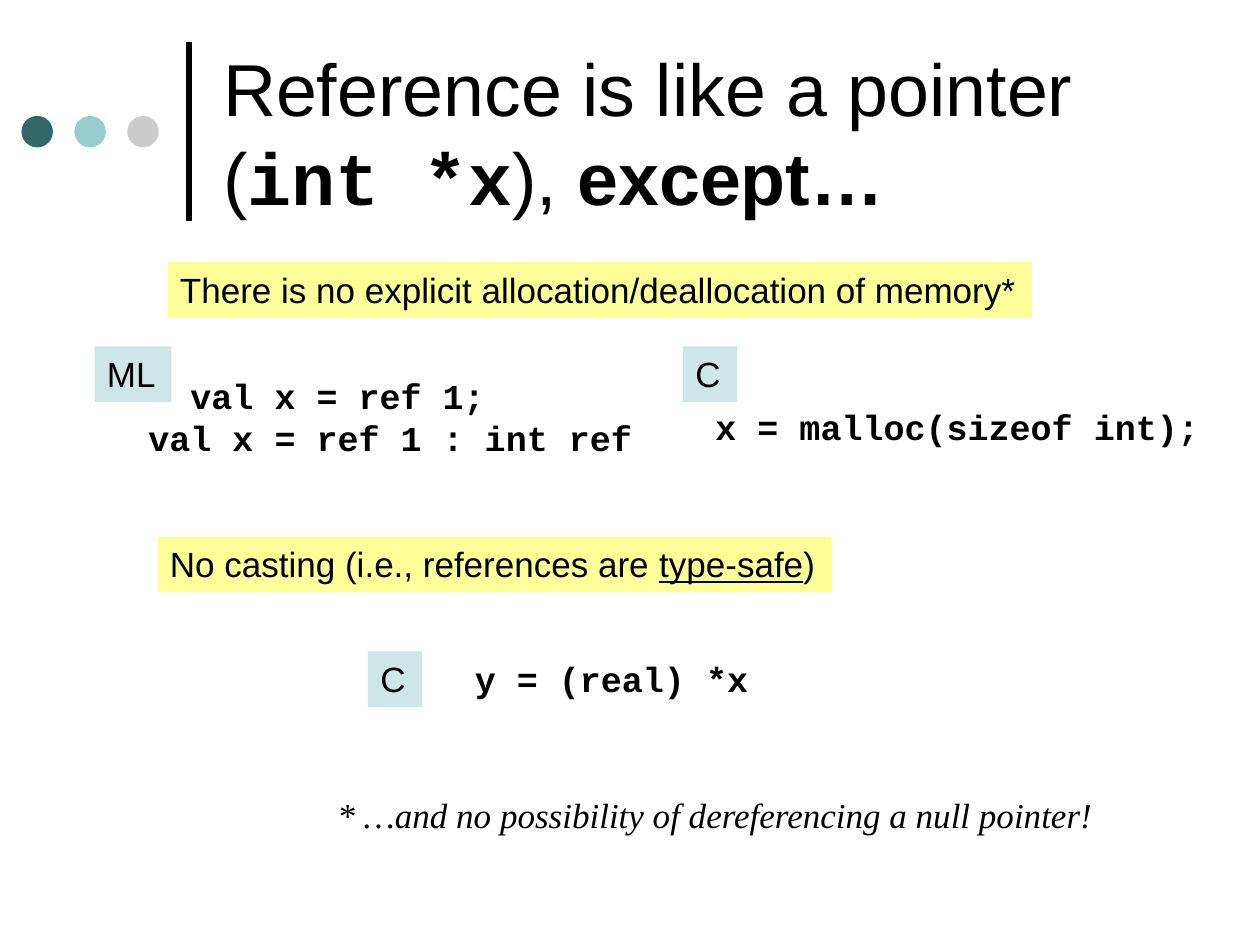
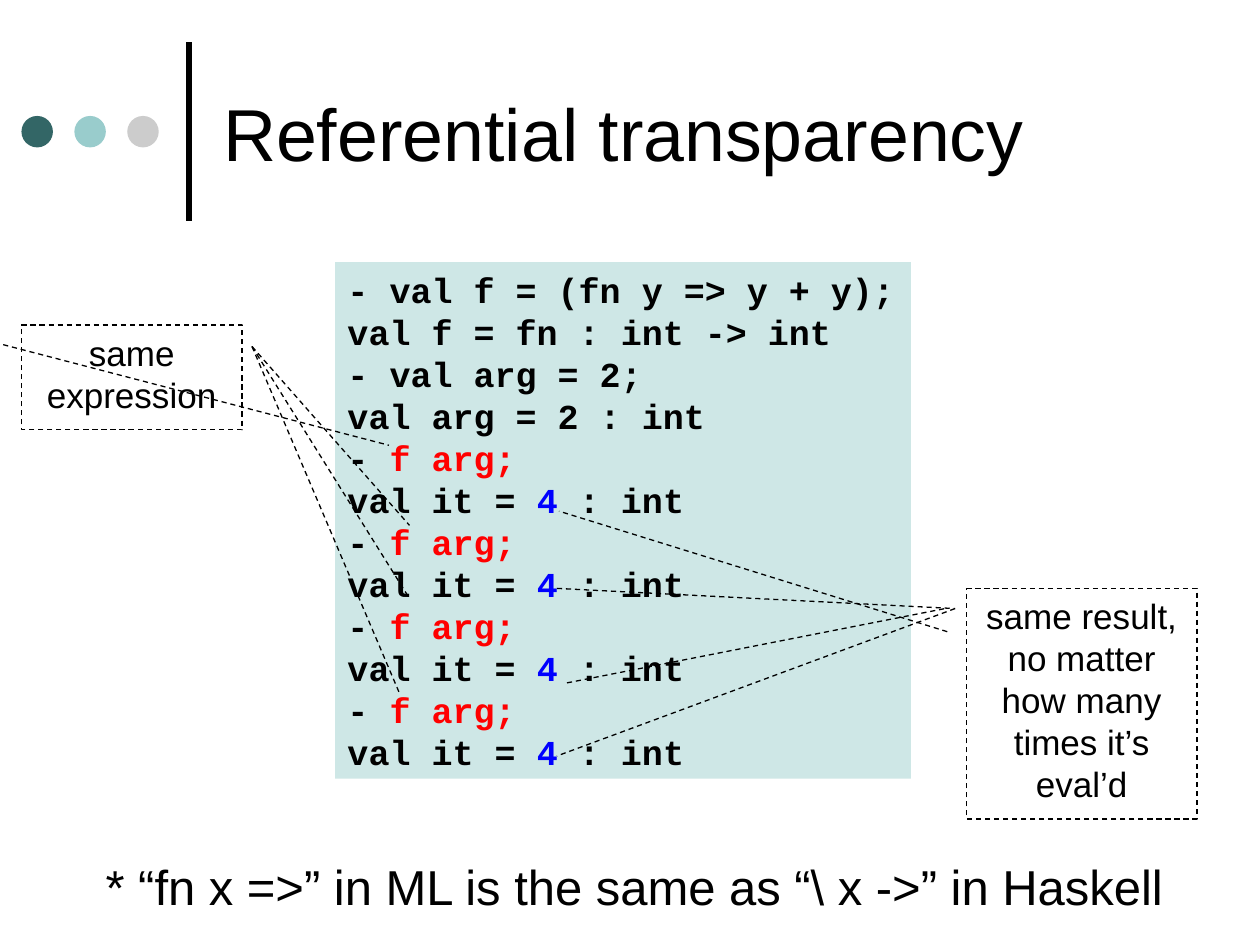
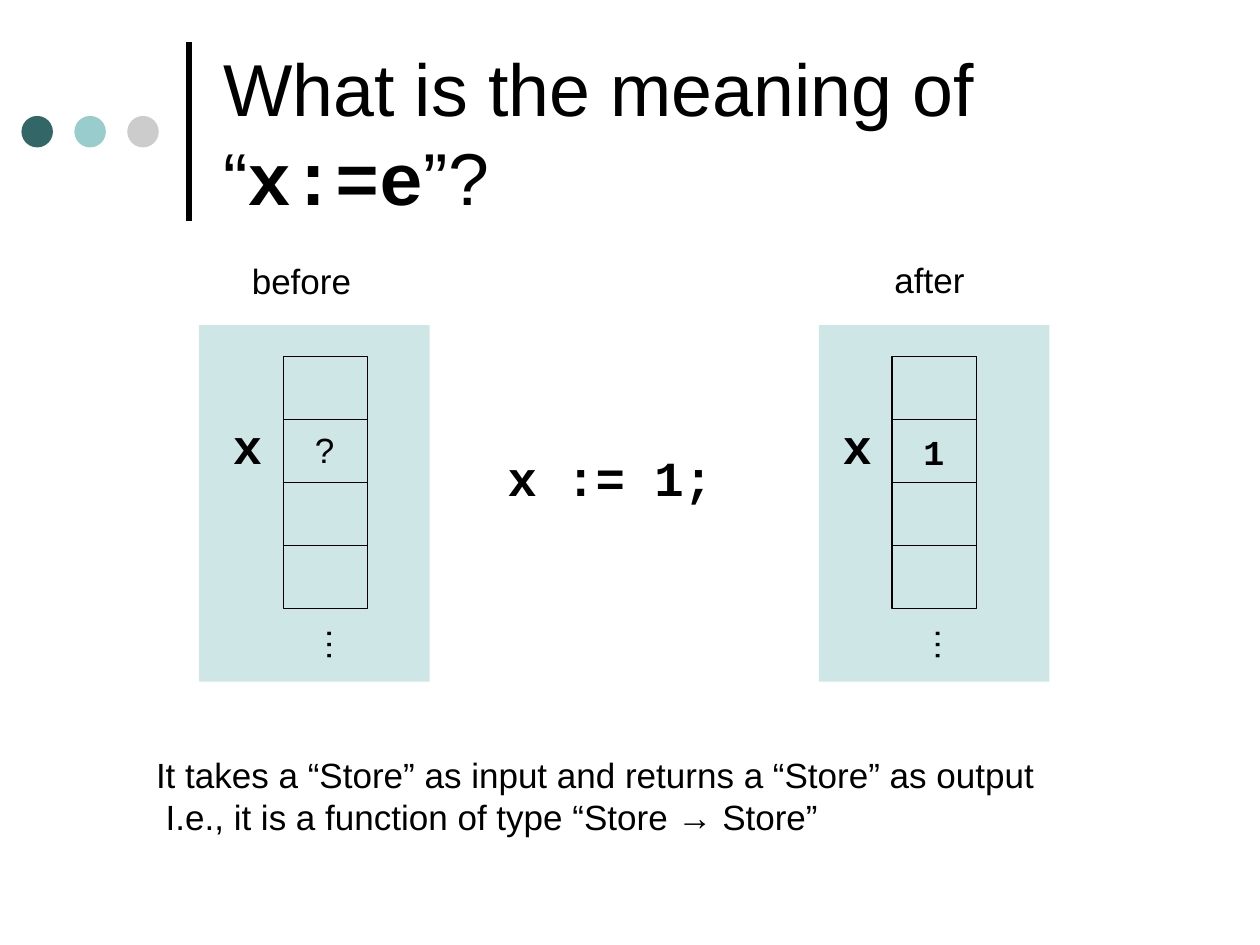
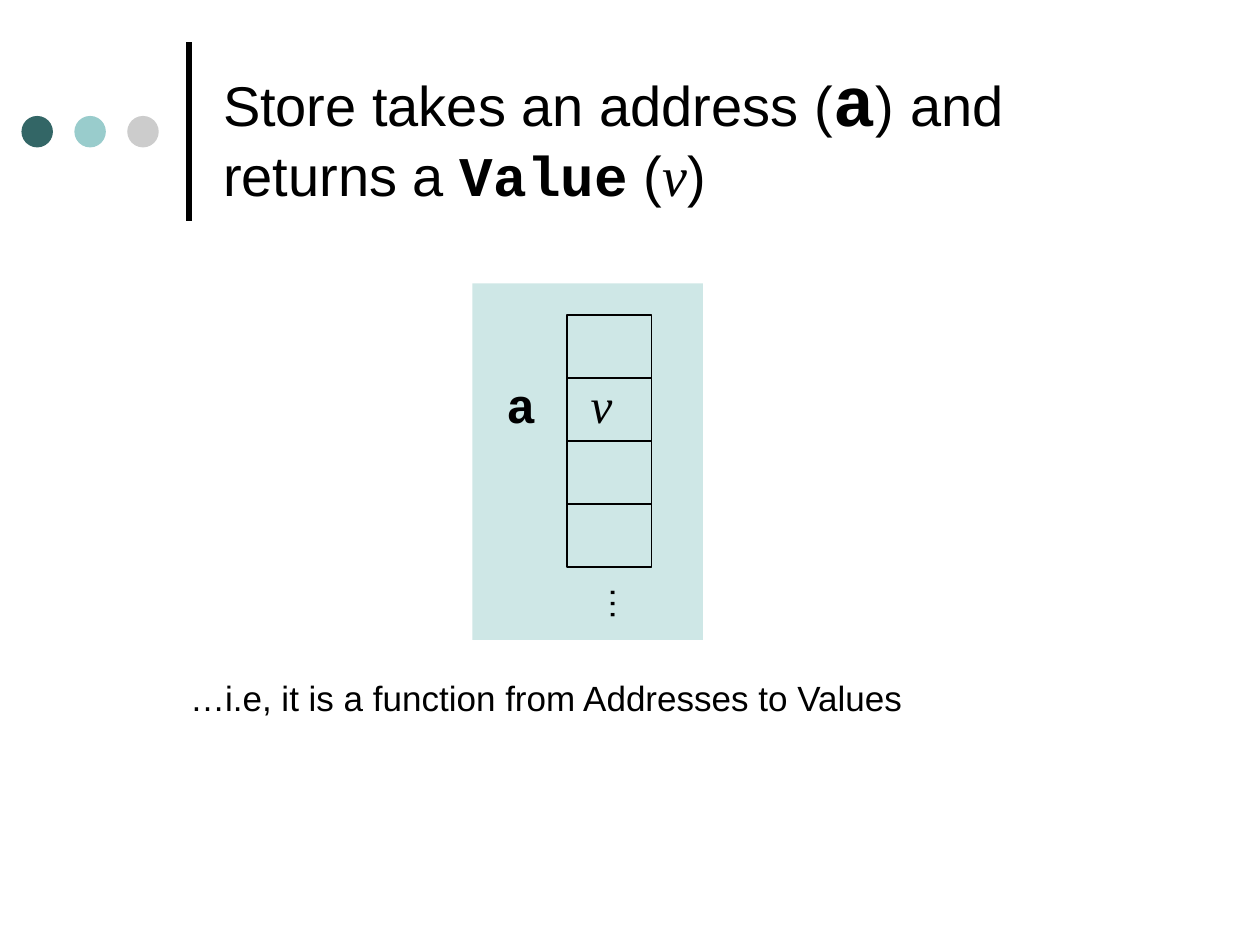
from lxml import etree
from pptx import Presentation
from pptx.dml.color import RGBColor
from pptx.enum import dml, shapes, text
from pptx.oxml import ns
from pptx.util import Inches, Pt

BLACK = RGBColor(0x00, 0x00, 0x00)
WHITE = RGBColor(0xFF, 0xFF, 0xFF)
RED = RGBColor(0xFF, 0x00, 0x00)
BLUE = RGBColor(0x00, 0x00, 0xFF)
YELLOW = RGBColor(0xFF, 0xFF, 0x99)
MINT = RGBColor(0xCE, 0xE7, 0xE6)
DOT_COLOURS = (
    RGBColor(0x33, 0x66, 0x66),
    RGBColor(0x99, 0xCC, 0xCC),
    RGBColor(0xCC, 0xCC, 0xCC),
)
SANS = "Arial"
MONO = "Courier New"
SERIF = "Times New Roman"
CODE = {"name": MONO, "bold": True}
FORMULA = {"name": SERIF, "italic": True}
WIDTH_SLACK = 0.03


def inches(*lengths):
    return [Inches(length) for length in lengths]


def format_font(font, name=None, size=None, colour=None, bold=None, italic=None, underline=None):
    if name:
        font.name = name
    if size:
        font.size = Pt(size)
    if colour is not None:
        font.color.rgb = colour
    if bold is not None:
        font.bold = bold
    if italic is not None:
        font.italic = italic
    if underline is not None:
        font.underline = underline


def write(frame, lines, align=text.PP_ALIGN.LEFT, **style):
    base = {"name": SANS, "size": 20, "colour": BLACK, **style}
    for index, line in enumerate(lines):
        paragraph = frame.add_paragraph() if index else frame.paragraphs[0]
        paragraph.alignment = align
        format_font(paragraph.font, **base)
        for part in [line] if isinstance(line, str) else line:
            words, changes = (part, {}) if isinstance(part, str) else part
            run = paragraph.add_run()
            run.text = words
            format_font(run.font, **changes)


def add_text(parent, box, *lines, fill=None, **style):
    left, top, width, height = box
    shape = parent.shapes.add_textbox(*inches(left, top, width + WIDTH_SLACK, height))
    if fill is not None:
        shape.fill.solid()
        shape.fill.fore_color.rgb = fill
    shape.text_frame.word_wrap = False
    shape.text_frame.auto_size = text.MSO_AUTO_SIZE.SHAPE_TO_FIT_TEXT
    write(shape.text_frame, lines, **style)
    return shape


def add_shape(parent, kind, box, fill=None, outlined=False):
    shape = parent.shapes.add_shape(kind, *inches(*box))
    shape.shadow.inherit = False
    if fill is None:
        shape.fill.background()
    else:
        shape.fill.solid()
        shape.fill.fore_color.rgb = fill
    if outlined:
        shape.line.color.rgb = BLACK
        shape.line.width = Pt(0.75)
    else:
        shape.line.fill.background()
    return shape


def add_line(slide, start, end, width=0.75, dashed=True):
    line = slide.shapes.add_connector(shapes.MSO_CONNECTOR.STRAIGHT, *inches(*start, *end))
    line.line.color.rgb = BLACK
    line.line.width = Pt(width)
    if dashed:
        line.line.dash_style = dml.MSO_LINE.DASH
    etree.SubElement(line.element.spPr, ns.qn("a:effectLst"))
    return line


def add_callout(slide, box, adjustments, *lines):
    callout = add_shape(slide, shapes.MSO_SHAPE.LINE_CALLOUT_1, box, outlined=True)
    callout.line.dash_style = dml.MSO_LINE.DASH
    for index, value in enumerate(adjustments):
        callout.adjustments[index] = value
    callout.text_frame.word_wrap = True
    callout.text_frame.vertical_anchor = text.MSO_ANCHOR.TOP
    write(callout.text_frame, lines, align=text.PP_ALIGN.CENTER)


def add_store(slide, panel_left, panel_top, cells_left, label, label_left):
    add_shape(slide, shapes.MSO_SHAPE.RECTANGLE, (panel_left, panel_top, 1.83, 2.83), MINT)
    cells = slide.shapes.add_group_shape()
    for row in range(4):
        cell = (cells_left, panel_top + 0.25 + 0.5 * row, 0.67, 0.5)
        add_shape(cells, shapes.MSO_SHAPE.RECTANGLE, cell, outlined=True)
    more = add_text(cells, (cells_left + 0.2, panel_top + 2.34, 0.48, 0.44), "…")
    more.rotation = 90
    add_text(slide, (label_left, panel_top + 0.67, 0.43, 0.57), label, size=28, **CODE)


def add_slide(presentation, *title_runs, size=42):
    slide = presentation.slides.add_slide(presentation.slide_layouts[5])
    title = slide.shapes.title
    title.left, title.top, title.width, title.height = inches(1.67, 0.21, 7.67, 1.67)
    frame = title.text_frame
    frame.word_wrap = True
    frame.auto_size = text.MSO_AUTO_SIZE.NONE
    frame.vertical_anchor = text.MSO_ANCHOR.MIDDLE
    write(frame, [title_runs], size=size)
    return slide


def decorate_master(presentation, slide):
    decorations = [add_line(slide, (1.5, 1.75), (1.5, 0.33), width=3, dashed=False)]
    for index, colour in enumerate(DOT_COLOURS):
        dot = (0.17 + 0.42 * index, 0.92, 0.25, 0.25)
        decorations.append(add_shape(slide, shapes.MSO_SHAPE.OVAL, dot, colour))
    for decoration in decorations:
        presentation.slide_master.shapes.element.append(decoration.element)


def build_pointer_slide(presentation):
    slide = add_slide(presentation, "Reference is like a pointer (", ("int *x", CODE),
                      "), ", ("except…", {"bold": True}))
    decorate_master(presentation, slide)
    add_text(slide, (1.08, 2.92, 4.04, 0.77), "- val x = ref 1;", "val x = ref 1 : int ref", **CODE)
    add_text(slide, (1.33, 2.08, 6.83, 0.44),
             "There is no explicit allocation/deallocation of memory*", fill=YELLOW)
    add_text(slide, (3.67, 5.17, 2.37, 0.44), "y = (real) *x", **CODE)
    add_text(slide, (1.25, 4.26, 5.32, 0.44),
             ["No casting (i.e., references are ", ("type-safe", {"underline": True}), ")"],
             fill=YELLOW)
    add_text(slide, (5.58, 3.17, 4.04, 0.44), "x = malloc(sizeof int);", **CODE)
    for language, left, top, width in (("ML", 0.75, 2.75, 0.58), ("C", 5.42, 2.75, 0.4),
                                       ("C", 2.92, 5.17, 0.4)):
        add_text(slide, (left, top, width, 0.44), language, fill=MINT)
    add_text(slide, (2.58, 6.25, 6.28, 0.44),
             "* …and no possibility of dereferencing a null pointer!", fill=WHITE, **FORMULA)


def build_transparency_slide(presentation):
    slide = add_slide(presentation, "Referential transparency")
    definitions = ["- val f = (fn y => y + y);", "val f = fn : int -> int",
                   "- val arg = 2;", "val arg = 2 : int"]
    evaluation = [["- ", ("f arg;", {"colour": RED})],
                  ["val it = ", ("4", {"colour": BLUE}), " : int"]]
    add_text(slide, (2.66, 2.08, 4.54, 4.1), *definitions, *evaluation * 4, fill=MINT, **CODE)
    add_callout(slide, (0.17, 2.58, 1.75, 0.83), (0.188, -0.083, 1.15, 1.667), "same expression")
    for end in ((3.25, 4.17), (3.25, 4.75), (3.17, 5.5)):
        add_line(slide, (2, 2.75), end)
    add_callout(slide, (7.67, 4.67, 1.83, 1.83), (0.188, -0.083, -0.335, -1.767),
                "same result,", "no matter how many times it’s eval’d")
    for start, end in (((4.5, 5.42), (7.5, 4.83)), ((4.42, 4.67), (7.58, 4.83)),
                       ((7.58, 4.83), (4.42, 6))):
        add_line(slide, start, end)
    add_text(slide, (0.74, 6.75, 8.6, 0.57),
             "* “fn x =>” in ML is the same as “\\ x ->” in Haskell", size=28)


def build_assignment_slide(presentation):
    slide = add_slide(presentation, "What is the meaning of “", ("x:=e", CODE), "”?")
    add_store(slide, 1.58, 2.58, 2.25, "x", 1.75)
    add_store(slide, 6.5, 2.58, 7.08, "x", 6.59)
    add_text(slide, (2.4, 3.35, 0.35, 0.44), "?")
    add_text(slide, (7.23, 3.37, 0.36, 0.44), "1", **CODE)
    add_text(slide, (3.93, 3.5, 1.83, 0.57), "x := 1;", size=28, **CODE)
    add_text(slide, (1.9, 2.01, 0.99, 0.44), "before")
    add_text(slide, (7, 2, 0.75, 0.44), "after")
    add_text(slide, (1.14, 5.93, 7.17, 0.77),
             "It takes a “Store” as input and returns a “Store” as output",
             " I.e., it is a function of type “Store → Store”")


def build_store_slide(presentation):
    slide = add_slide(presentation, "Store takes an address (", ("a", {"size": 40, **CODE}),
                      ") and returns a ", ("Value", CODE), " (", ("v", FORMULA), ")", size=32)
    add_store(slide, 3.75, 2.25, 4.5, "a", 3.92)
    add_text(slide, (4.59, 2.92, 0.37, 0.57), "v", size=28, **FORMULA)
    add_text(slide, (1.41, 5.32, 5.89, 0.44), "…i.e, it is a function from Addresses to Values")


def main():
    presentation = Presentation()
    presentation.slide_width, presentation.slide_height = inches(10, 7.5)
    build_pointer_slide(presentation)
    build_transparency_slide(presentation)
    build_assignment_slide(presentation)
    build_store_slide(presentation)
    presentation.save("out.pptx")


if __name__ == "__main__":
    main()
